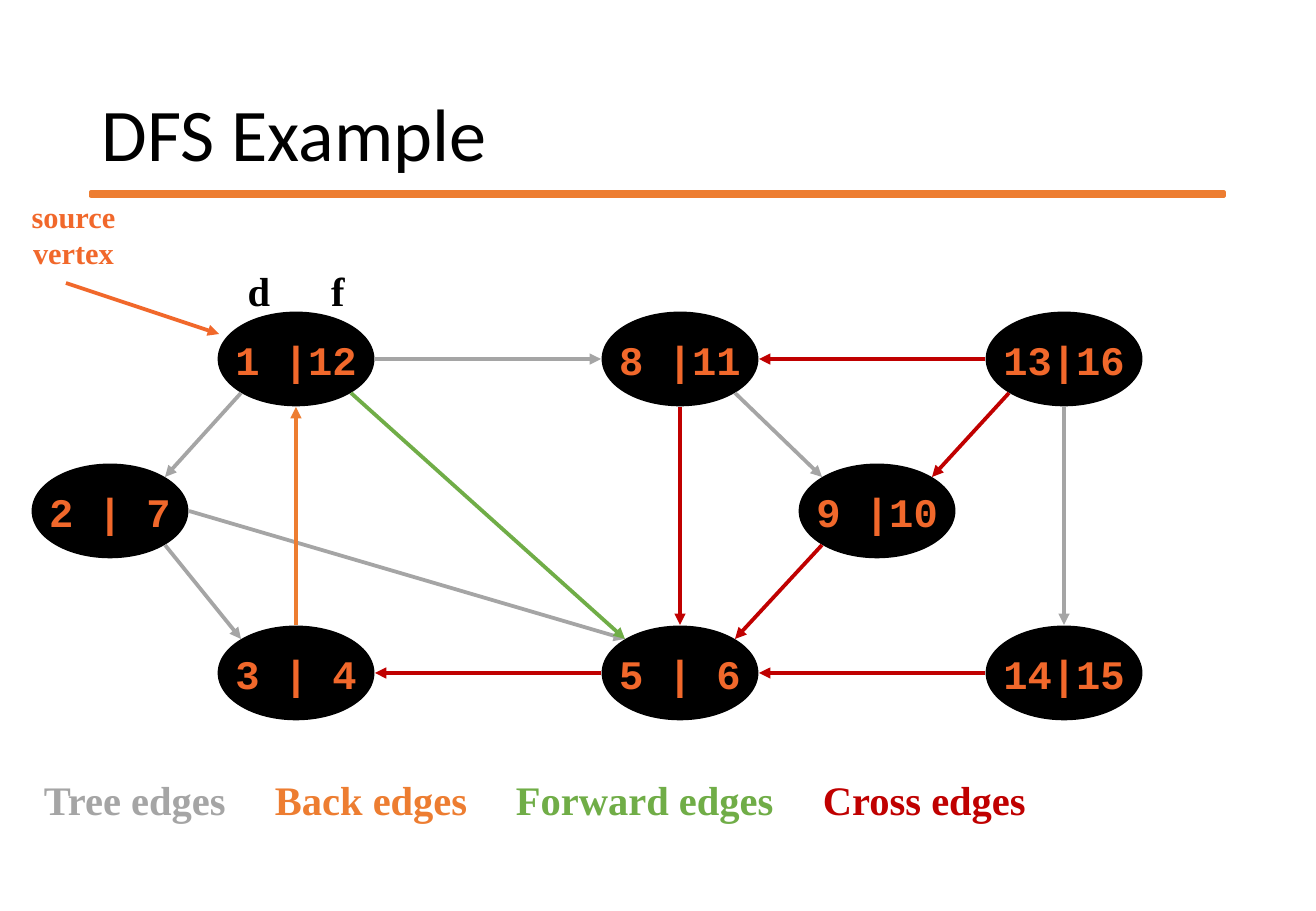
from dataclasses import dataclass

from lxml import etree
from pptx import Presentation
from pptx.dml.color import RGBColor
from pptx.enum.shapes import MSO_CONNECTOR, MSO_SHAPE
from pptx.enum.text import MSO_ANCHOR, PP_ALIGN
from pptx.oxml.ns import qn
from pptx.util import Pt

EMU_PER_PIXEL = 914400 / 121.5
LEFT, CENTER = PP_ALIGN.LEFT, PP_ALIGN.CENTER
TOP, MIDDLE = MSO_ANCHOR.TOP, MSO_ANCHOR.MIDDLE
STRAIGHT = MSO_CONNECTOR.STRAIGHT
OVAL, ROUNDED = MSO_SHAPE.OVAL, MSO_SHAPE.ROUNDED_RECTANGLE


@dataclass(frozen=True)
class Theme:
    """Colours, fonts, type sizes and line widths of the slide."""
    black: str = "000000"
    accent: str = "F1682B"
    tree: str = "A5A5A5"
    back: str = "ED7D31"
    forward: str = "70AD47"
    cross: str = "C00000"
    title_font: str = "Calibri"
    node_font: str = "Courier New"
    label_font: str = "Times New Roman"
    title_size: int = 44
    body_size: int = 24
    source_size: int = 18
    line_width: float = 2.25
    rule_width: float = 1


theme = Theme()


def write_text(shape, text, color, font, size, bold=True, align=CENTER, anchor=MIDDLE, wrap=False):
    """Put one formatted paragraph into a shape and return it."""
    frame = shape.text_frame
    frame.word_wrap, frame.vertical_anchor = wrap, anchor
    paragraph = frame.paragraphs[0]
    paragraph.text = text
    paragraph.alignment = align
    for name, value in {"name": font, "size": Pt(size), "bold": bold}.items():
        setattr(paragraph.font, name, value)
    paragraph.font.color.rgb = RGBColor.from_string(color)
    return paragraph


def add_arrow(start, end, color):
    """Draw a straight arrow between two pixel points."""
    ends = [round(value * EMU_PER_PIXEL) for value in (*start, *end)]
    connector = slide.shapes.add_connector(STRAIGHT, *ends)
    connector.line.width = Pt(theme.line_width)
    connector.line.color.rgb = RGBColor.from_string(color)
    etree.SubElement(connector.line._get_or_add_ln(), qn("a:tailEnd"), type="triangle")
    etree.SubElement(connector._element.spPr, qn("a:effectLst"))


presentation = Presentation()
presentation.slide_width = round(1316 * EMU_PER_PIXEL)
presentation.slide_height = round(911 * EMU_PER_PIXEL)
slide = presentation.slides.add_slide(presentation.slide_layouts[6])

# Node name: (text, centre x, centre y)
NODE_WIDTH, NODE_HEIGHT = 153, 91
COLUMNS, ROWS = (296, 680, 1064), (359, 511, 673)
nodes = {
    "1": ("1 |12", COLUMNS[0], ROWS[0]),
    "8": ("8 |11", COLUMNS[1], ROWS[0]),
    "13": ("13|16", COLUMNS[2], ROWS[0]),
    "14": ("14|15", COLUMNS[2], ROWS[2]),
    "5": ("5 | 6", COLUMNS[1], ROWS[2]),
    "3": ("3 | 4", COLUMNS[0], ROWS[2]),
    "2": ("2 | 7", 110, ROWS[1]),
    "9": ("9 |10", 877, ROWS[1]),
}

# Title rule and nodes
filled_shapes = [(ROUNDED, (90, 191, 1135, 6), theme.back, theme.rule_width, "")]
for text, x, y in nodes.values():
    box = (x - NODE_WIDTH / 2, y - NODE_HEIGHT / 2, NODE_WIDTH, NODE_HEIGHT)
    filled_shapes.append((OVAL, box, theme.black, theme.line_width, text))
for kind, box, color, width, text in filled_shapes:
    shape = slide.shapes.add_shape(kind, *[round(value * EMU_PER_PIXEL) for value in box])
    shape.shadow.inherit = False
    shape.fill.solid()
    shape.fill.fore_color.rgb = RGBColor.from_string(color)
    shape.line.color.rgb = RGBColor.from_string(color)
    shape.line.width = Pt(width)
    if text:
        write_text(shape, text, theme.accent, theme.node_font, theme.body_size)

# Edges join the compass points of two nodes
compass = {
    "N": (0, -48), "S": (0, 48), "W": (-79, 0), "E": (79, 0),
    "NW": (-55, -34), "NE": (55, -34), "SW": (-55, 34), "SE": (55, 34),
}
edges = [
    ("1", "SW", "2", "NE", theme.tree),
    ("2", "SE", "3", "NW", theme.tree),
    ("2", "E", "5", "NW", theme.tree),
    ("5", "W", "3", "E", theme.cross),
    ("3", "N", "1", "S", theme.back),
    ("8", "S", "5", "N", theme.cross),
    ("1", "E", "8", "W", theme.tree),
    ("13", "W", "8", "E", theme.cross),
    ("8", "SE", "9", "NW", theme.tree),
    ("13", "SW", "9", "NE", theme.cross),
    ("13", "S", "14", "N", theme.tree),
    ("14", "W", "5", "E", theme.cross),
    ("9", "SW", "5", "NE", theme.cross),
    ("1", "SE", "5", "NW", theme.forward),
]
for origin, leaving, target, entering, color in edges:
    start, end = [
        (nodes[node][1] + compass[side][0], nodes[node][2] + compass[side][1])
        for node, side in ((origin, leaving), (target, entering))
    ]
    add_arrow(start, end, color)
add_arrow((66, 283), (219, 334), theme.accent)

# Title, labels and legend
label = {"font": theme.label_font, "size": theme.body_size}
legend = {**label, "align": LEFT, "anchor": TOP}
texts = [
    ("DFS Example", (90, 49, 1135, 176), theme.black,
     {"font": theme.title_font, "size": theme.title_size, "bold": False, "align": LEFT, "wrap": True}),
    ("source\vvertex", (19, 192, 109, 86), theme.accent,
     {**label, "size": theme.source_size, "anchor": TOP}),
    ("d", (229, 260, 60, 61), theme.black, label),
    ("f", (308, 260, 60, 61), theme.black, label),
    ("Tree edges", (32, 769, 208, 61), theme.tree, legend),
    ("Back edges", (263, 769, 219, 61), theme.back, legend),
    ("Forward edges", (504, 769, 284, 61), theme.forward, legend),
    ("Cross edges", (811, 769, 230, 61), theme.cross, legend),
]
for text, box, color, style in texts:
    text_box = slide.shapes.add_textbox(*[round(value * EMU_PER_PIXEL) for value in box])
    paragraph = write_text(text_box, text, color, **style)
    if style["size"] == theme.title_size:
        paragraph.line_spacing = 0.9

presentation.save("out.pptx")
